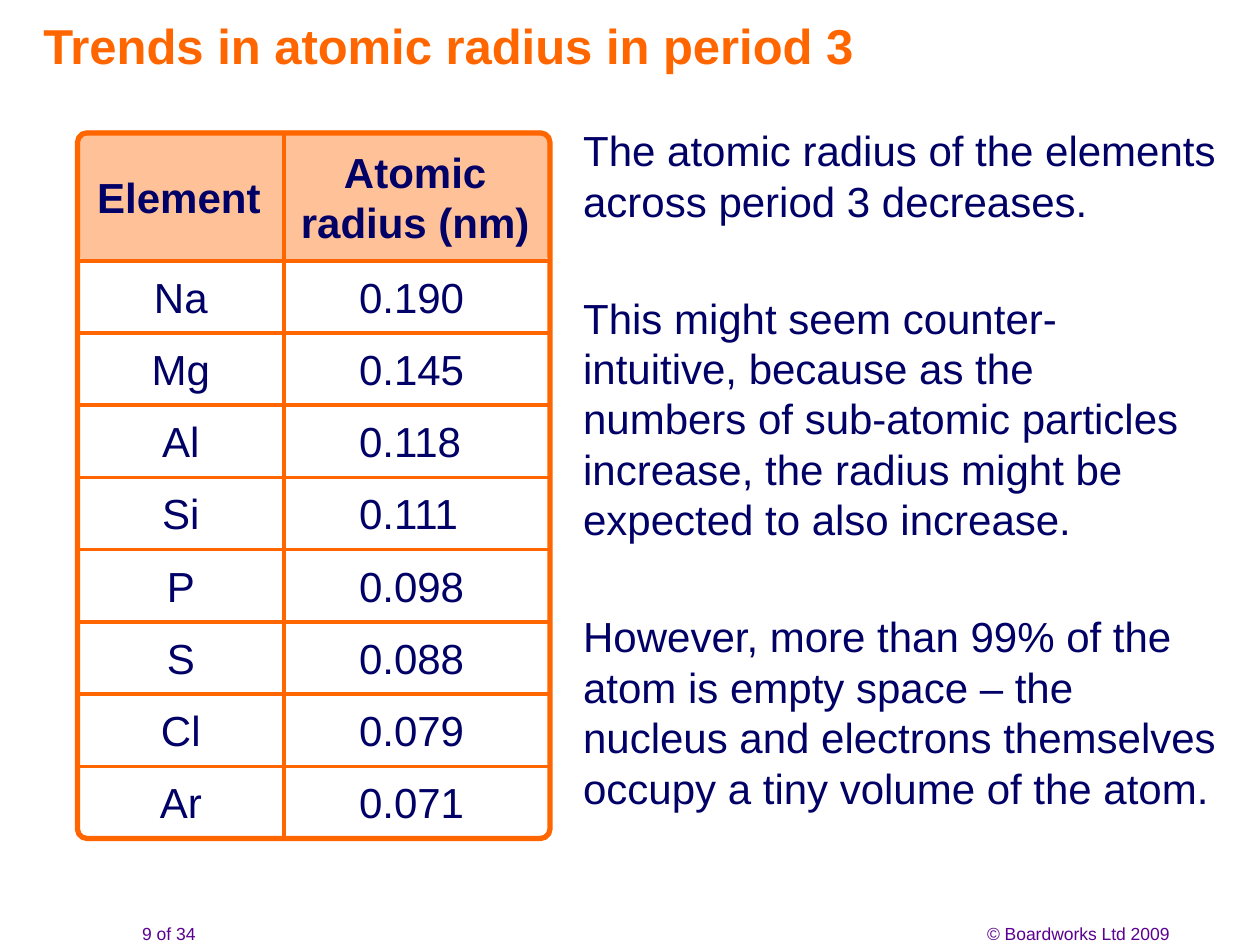
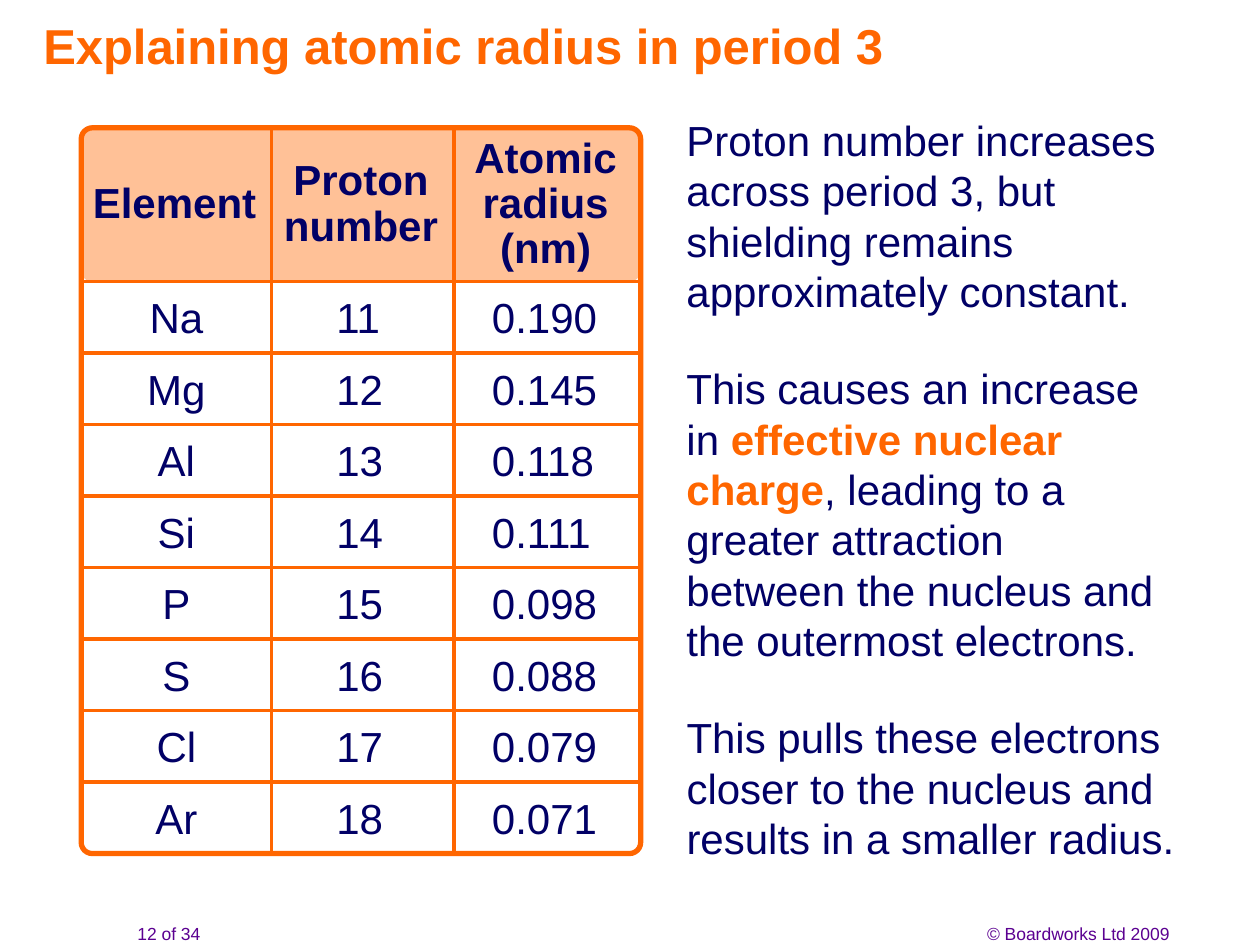
from dataclasses import dataclass
from itertools import accumulate

from lxml.etree import SubElement
from pptx import Presentation
from pptx.dml.color import RGBColor
from pptx.enum.shapes import MSO_CONNECTOR as Connector, MSO_SHAPE as Shape
from pptx.enum.text import MSO_ANCHOR as Anchor, PP_ALIGN as Align
from pptx.oxml.ns import qn
from pptx.util import Inches, Pt

COLORS = {"accent": "FF6600", "header": "FFC197", "ink": "010066", "footer": "5B0091"}
FONT = "Arial"
LEADING = 1.2
WIDTH, HEIGHT = Inches(10), Inches(7.5)
COL, ROW = WIDTH / 100, HEIGHT / 75
NO_GRID_STYLE = "{2D5ABB26-0587-4C30-8999-92F81FD0307C}"
ELEMENTS = ["Na", "Mg", "Al", "Si", "P", "S", "Cl", "Ar"]
RADII = ["0.190", "0.145", "0.118", "0.111", "0.098", "0.088", "0.079", "0.071"]
PROTONS = [str(n) for n in range(11, 19)]


@dataclass(frozen=True)
class Box:
    """A place on the grid of 100 columns by 75 rows."""
    col: float
    row: float
    cols: float
    rows: float

    def emu(self) -> tuple[int, int, int, int]:
        return (round(self.col * COL), round(self.row * ROW),
                round(self.cols * COL), round(self.rows * ROW))


@dataclass(frozen=True)
class Column:
    heading: str
    values: list[str]
    cols: float
    indent: float = 0  # left indent of the values; 0 centres them


@dataclass(frozen=True)
class ElementTable:
    box: Box
    header_rows: float
    columns: list[Column]
    header_leading: float = LEADING

    @property
    def value_rows(self) -> float:
        return (self.box.rows - self.header_rows) / len(ELEMENTS)


@dataclass(frozen=True)
class Passage:
    box: Box
    text: str


@dataclass(frozen=True)
class Page:
    title: str
    number: str
    table: ElementTable
    passages: list[Passage]


TITLE = Box(2.45, 0.6, 79.2, 6)
PAGE_NUMBER = Box(9.8, 72.8, 7.2, 2.2)
COPYRIGHT = Box(70.5, 72.8, 23.3, 2.2)

PAGES = [
    Page(
        "Trends in atomic radius in period 3", "9 of 34",
        ElementTable(Box(6.15, 10.55, 37.5, 56), 10.15, [
            Column("Element", ELEMENTS, 16.4),
            Column("Atomic radius (nm)", RADII, 21.1, 5.95),
        ]),
        [
            Passage(Box(45.3, 9.4, 52.9, 9),
                    "The atomic radius of the elements across period 3 decreases."),
            Passage(Box(45.3, 22.7, 50.3, 21),
                    "This might seem counter-intuitive, because as the numbers of sub-atomic "
                    "particles increase, the radius might be expected to also increase."),
            Passage(Box(45.3, 48, 52.7, 17),
                    "However, more than 99% of the atom is empty space – the nucleus and "
                    "electrons themselves occupy a tiny volume of the atom."),
        ],
    ),
    Page(
        "Explaining atomic radius in period 3", "12 of 34",
        ElementTable(Box(6.45, 10.15, 44.4, 57.6), 12.2, [
            Column("Element", ELEMENTS, 15.1),
            Column("Proton number", PROTONS, 14.5, 5.15),
            Column("Atomic radius (nm)", RADII, 14.8, 3),
        ], header_leading=0.9 * LEADING),
        [
            Passage(Box(53.5, 8.6, 40.7, 17),
                    "Proton number increases across period 3, but shielding remains "
                    "approximately constant."),
            Passage(Box(53.5, 28.3, 40.4, 25),
                    "This causes an increase in *effective nuclear charge*, leading to a greater "
                    "attraction between the nucleus and the outermost electrons."),
            Passage(Box(53.5, 56, 43.1, 13),
                    "This pulls these electrons closer to the nucleus and results in a "
                    "smaller radius."),
        ],
    ),
]


def rgb(name: str) -> RGBColor:
    return RGBColor.from_string(COLORS[name])


def write(tf, text: str, *, size: float = 24, color: str = "ink", bold: bool = False,
          align=Align.LEFT, leading: float = LEADING) -> None:
    """Fill the first paragraph; a part between asterisks is a key term."""
    tf.word_wrap = True
    p = tf.paragraphs[0]
    p.alignment = align
    p.line_spacing = Pt(round(size * leading, 1))
    for i, part in enumerate(text.split("*")):
        key_term = i % 2 == 1
        r = p.add_run()
        r.text = part
        r.font.name, r.font.size = FONT, Pt(size)
        r.font.bold = bold or key_term
        r.font.color.rgb = rgb("accent" if key_term else color)


def add_text(s, box: Box, text: str, anchor=Anchor.TOP, **style) -> None:
    tf = s.shapes.add_textbox(*box.emu()).text_frame
    tf.vertical_anchor = anchor
    write(tf, text, **style)


def add_rounded(s, box: Box, radius: float, fill: str = "", line: str = "") -> None:
    sp = s.shapes.add_shape(Shape.ROUNDED_RECTANGLE, *box.emu())
    sp.shadow.inherit = False
    sp.adjustments[0] = radius
    if fill:
        sp.fill.solid()
        sp.fill.fore_color.rgb = rgb(fill)
    else:
        sp.fill.background()
    if line:
        sp.line.color.rgb = rgb(line)
        sp.line.width = Pt(3)
    else:
        sp.line.fill.background()


def add_rule(s, box: Box) -> None:
    """A straight line along a box that has no width or no height."""
    x, y, w, h = box.emu()
    line = s.shapes.add_connector(Connector.STRAIGHT, x, y, x + w, y + h)
    line.line.color.rgb = rgb("accent")
    line.line.width = Pt(2)
    SubElement(line._element.spPr, qn("a:effectLst"))


def add_rules(s, table: ElementTable) -> None:
    box = table.box
    for offset in accumulate(column.cols for column in table.columns[:-1]):
        add_rule(s, Box(box.col + offset, box.row, 0, box.rows))
    for i in range(len(ELEMENTS)):
        row = box.row + table.header_rows + i * table.value_rows
        add_rule(s, Box(box.col, row, box.cols, 0))


def add_cells(s, element_table: ElementTable) -> None:
    box, columns = element_table.box, element_table.columns
    table = s.shapes.add_table(len(ELEMENTS) + 1, len(columns), *box.emu()).table
    table.first_row = table.horz_banding = False
    table._tbl.tblPr.find(qn("a:tableStyleId")).text = NO_GRID_STYLE

    for i, row in enumerate(table.rows):
        row.height = round((element_table.value_rows if i else element_table.header_rows) * ROW)

    for j, column in enumerate(columns):
        table.columns[j].width = round(column.cols * COL)
        for i, text in enumerate([column.heading, *column.values]):
            header = i == 0
            indent = 0 if header else column.indent
            cell = table.cell(i, j)
            cell.vertical_anchor = Anchor.MIDDLE
            cell.margin_top = cell.margin_bottom = 0
            cell.margin_left = round((indent or 0.3) * COL)
            cell.margin_right = round((0.6 if header else 0.3) * COL)
            cell.fill.background()
            write(cell.text_frame, text, bold=header,
                  align=Align.LEFT if indent else Align.CENTER,
                  leading=element_table.header_leading if header else LEADING)


def add_element_table(s, table: ElementTable) -> None:
    box = table.box
    add_rounded(s, Box(box.col, box.row - 0.2, box.cols, table.header_rows + 0.2), 0.07,
                fill="header")
    add_cells(s, table)
    add_rounded(s, box, 0.02, line="accent")
    add_rules(s, table)


def add_page(prs, page: Page) -> None:
    s = prs.slides.add_slide(prs.slide_layouts[6])
    add_text(s, PAGE_NUMBER, page.number, size=10, color="footer", align=Align.CENTER)
    add_text(s, COPYRIGHT, "© Boardworks Ltd 2009", size=10, color="footer", align=Align.RIGHT)
    add_text(s, TITLE, page.title, Anchor.MIDDLE, size=28, color="accent", bold=True)
    add_element_table(s, page.table)
    for passage in page.passages:
        add_text(s, passage.box, passage.text)


def main() -> None:
    prs = Presentation()
    prs.slide_width, prs.slide_height = WIDTH, HEIGHT
    for page in PAGES:
        add_page(prs, page)
    prs.save("out.pptx")


if __name__ == "__main__":
    main()
